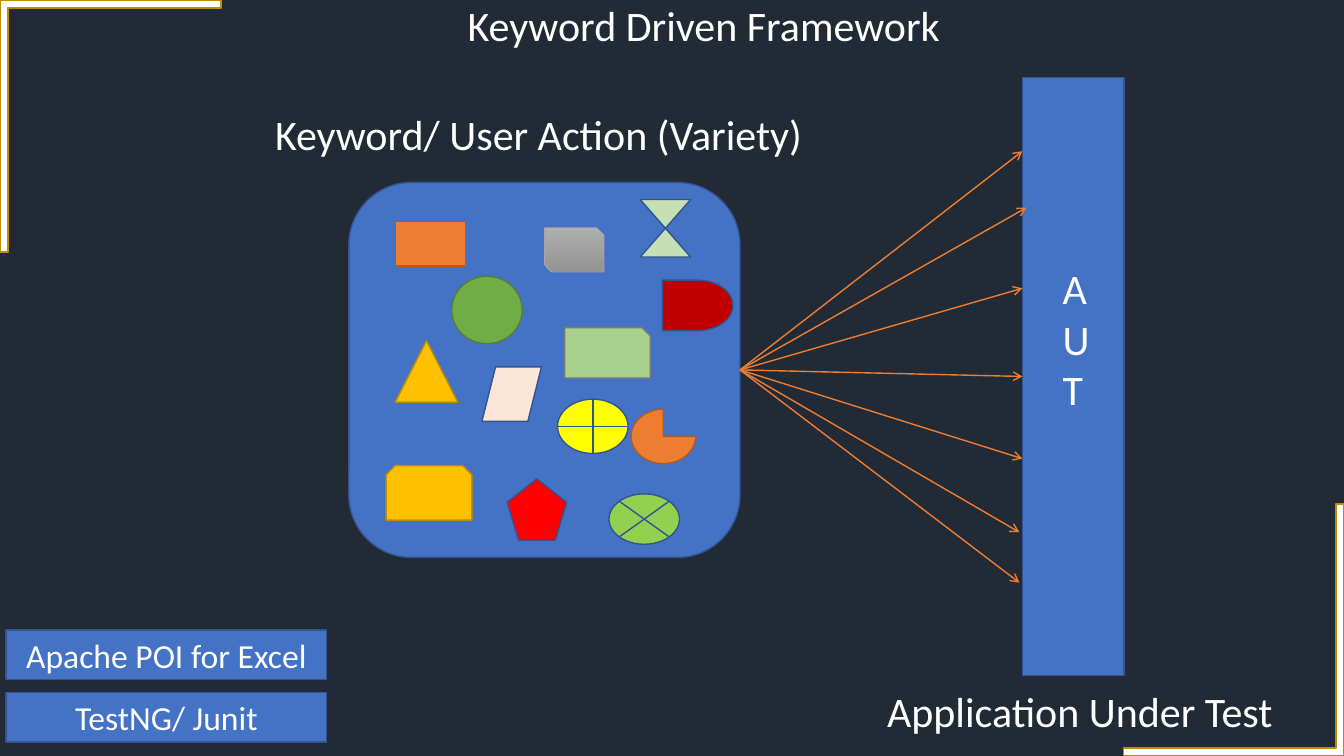
"""Build the Keyword Driven Framework slide."""
from lxml.etree import SubElement
from pptx import Presentation
from pptx.dml.color import RGBColor
from pptx.enum.shapes import MSO_CONNECTOR, MSO_SHAPE as M
from pptx.enum.text import MSO_ANCHOR, PP_ALIGN
from pptx.oxml.ns import qn
from pptx.util import Inches, Pt

NAVY = RGBColor(0x22, 0x2A, 0x35)
WHITE = RGBColor(0xFF, 0xFF, 0xFF)
BLUE = RGBColor(0x44, 0x72, 0xC4)
DARK_BLUE = RGBColor(0x32, 0x54, 0x91)
ORANGE = RGBColor(0xED, 0x7D, 0x31)
RUST = RGBColor(0xAF, 0x5C, 0x24)
GOLD = RGBColor(0xFF, 0xC0, 0x00)
DARK_GOLD = RGBColor(0xBD, 0x8E, 0x00)
GREEN = RGBColor(0x70, 0xAD, 0x47)
DARK_GREEN = RGBColor(0x53, 0x80, 0x35)
SAGE = RGBColor(0xA9, 0xD1, 0x8E)
PALE_GREEN = RGBColor(0xC5, 0xE0, 0xB4)
LIME = RGBColor(0x92, 0xD0, 0x50)
PEACH = RGBColor(0xFB, 0xE5, 0xD6)
RED = RGBColor(0xFF, 0x00, 0x00)
DARK_RED = RGBColor(0xC0, 0x00, 0x00)
YELLOW = RGBColor(0xFF, 0xFF, 0x00)
GREY = RGBColor(0xA5, 0xA5, 0xA5)
LIGHT_GREY = RGBColor(0xAF, 0xAF, 0xAF)
MID_GREY = RGBColor(0x93, 0x93, 0x93)
SLATE = RGBColor(0x7A, 0x7A, 0x7A)

ROWS = 75
CORNERS = [((0, 0), 1), ((133.3, 75), -1)]
CORNER_WIDTH, CORNER_HEIGHT, CORNER_BAR = 21.9, 25, 0.8
LABELS = [
    ((45.4, -0.5, 54.2, 6.1), ["Keyword Driven Framework"]),
    ((87, 67.5, 41.3, 6.1), ["Application Under Test"]),
    ((26.3, 10.3, 57.3, 6.1), ["Keyword/ User Action (Variety)"]),
    ((104.4, 25.6, 5.9, 16.2), ["A", "U", "T"]),
]
TOOLS = ["Apache POI for Excel", "TestNG/ Junit"]
TOOL_LEFT, TOOL_TOP, TOOL_WIDTH, TOOL_HEIGHT, TOOL_STEP = 0.6, 62.5, 31.8, 4.9, 6.2
AUT_BOX = (101.4, 7.7, 10.1, 59.3)
ACTION_BOX = (34.6, 18.1, 38.8, 37.2)
ACTIONS = [
    (M.RECTANGLE, (39.2, 22, 7, 4.4), ORANGE, RUST),
    (M.OVAL, (44.8, 27.4, 7, 6.7), GREEN, DARK_GREEN),
    (M.ISOSCELES_TRIANGLE, (39.2, 33.8, 6.2, 6.1), GOLD, DARK_GOLD),
    (M.SNIP_1_RECTANGLE, (56, 32.5, 8.5, 5), SAGE, SLATE),
    (M.SNIP_2_SAME_RECTANGLE, (38.3, 46.2, 8.5, 5.4), GOLD, DARK_GOLD),
    (M.SNIP_2_DIAG_RECTANGLE, (54, 22.6, 5.9, 4.4), (LIGHT_GREY, MID_GREY), GREY),
    (M.PARALLELOGRAM, (47.8, 36.4, 5.9, 5.4), PEACH, DARK_BLUE),
    (M.REGULAR_PENTAGON, (50.3, 47.5, 5.9, 6.1), RED, DARK_BLUE),
    (M.PIE, (62.6, 40.6, 6.4, 5.4), ORANGE, RUST),
    (M.FLOWCHART_DELAY, (65.7, 27.8, 7, 5), DARK_RED, DARK_BLUE),
    (M.FLOWCHART_OR, (55.3, 39.6, 7, 5.4), YELLOW, DARK_BLUE),
    (M.FLOWCHART_SUMMING_JUNCTION, (60.4, 49, 7, 5), LIME, DARK_BLUE),
    (M.FLOWCHART_COLLATE, (63.5, 19.8, 5, 5.7), PALE_GREEN, DARK_BLUE),
]
ARROW_TIPS = [(101.4, 15), (101.8, 20.6), (101.4, 28.6), (101.4, 45.5),
              (101.1, 52.8), (101.1, 57.8)]

prs = Presentation()
prs.slide_width, prs.slide_height = Inches(13.33), Inches(7.5)
s = prs.slides.add_slide(prs.slide_layouts[6])
s.background.fill.solid()
s.background.fill.fore_color.rgb = NAVY


def cells(*counts):
    return [round(n * prs.slide_height / ROWS) for n in counts]


def write(tf, lines, size, align=PP_ALIGN.LEFT):
    for i, line in enumerate(lines):
        p = tf.paragraphs[0] if i == 0 else tf.add_paragraph()
        p.alignment = align
        r = p.add_run()
        r.text = line
        for name, value in {"name": "Calibri", "size": Pt(size)}.items():
            setattr(r.font, name, value)
        r.font.color.rgb = WHITE


def paint(sp, fill, edge):
    sp.shadow.inherit = False
    if isinstance(fill, RGBColor):
        sp.fill.solid()
        sp.fill.fore_color.rgb = fill
    else:
        sp.fill.gradient()
        sp.fill.gradient_angle = 270
        for stop, color in zip(sp.fill.gradient_stops, fill):
            stop.color.rgb = color
    sp.line.color.rgb = edge
    sp.line.width = Pt(1 if isinstance(fill, RGBColor) else 0.5)
    return sp


def draw(kind, box, fill=BLUE, edge=DARK_BLUE):
    return paint(s.shapes.add_shape(kind, *cells(*box)), fill, edge)


def draw_corner(origin, sign):
    w, h, bar = CORNER_WIDTH, CORNER_HEIGHT, CORNER_BAR
    outline = [(0, 0), (w, 0), (w, bar), (bar, bar), (bar, h), (0, h)]
    points = [cells(origin[0] + sign * x, origin[1] + sign * y) for x, y in outline]
    builder = s.shapes.build_freeform(*points[0])
    builder.add_line_segments(points[1:], close=True)
    paint(builder.convert_to_shape(), WHITE, DARK_GOLD)


def arrow(tip=(0, 0)):
    c = s.shapes.add_connector(MSO_CONNECTOR.STRAIGHT, 0, 0, *cells(*tip))
    c.begin_connect(panel, 3)
    c.line.color.rgb = ORANGE
    c.line.width = Pt(1)
    props = c._element.spPr
    SubElement(props.find(qn("a:ln")), qn("a:tailEnd"), type="arrow")
    SubElement(props, qn("a:effectLst"))
    return c


for corner in CORNERS:
    draw_corner(*corner)

for i, tool in enumerate(TOOLS):
    sp = draw(M.RECTANGLE, (TOOL_LEFT, TOOL_TOP + i * TOOL_STEP, TOOL_WIDTH, TOOL_HEIGHT))
    sp.text_frame.vertical_anchor = MSO_ANCHOR.MIDDLE
    write(sp.text_frame, [tool], 24, PP_ALIGN.CENTER)

aut = draw(M.RECTANGLE, AUT_BOX)
panel = draw(M.ROUNDED_RECTANGLE, ACTION_BOX)
for action in ACTIONS:
    draw(*action)

for tip in ARROW_TIPS:
    arrow(tip)
arrow().end_connect(aut, 1)

for box, lines in LABELS:
    tf = s.shapes.add_textbox(*cells(*box)).text_frame
    tf.word_wrap = True
    write(tf, lines, 30)

prs.save("out.pptx")
